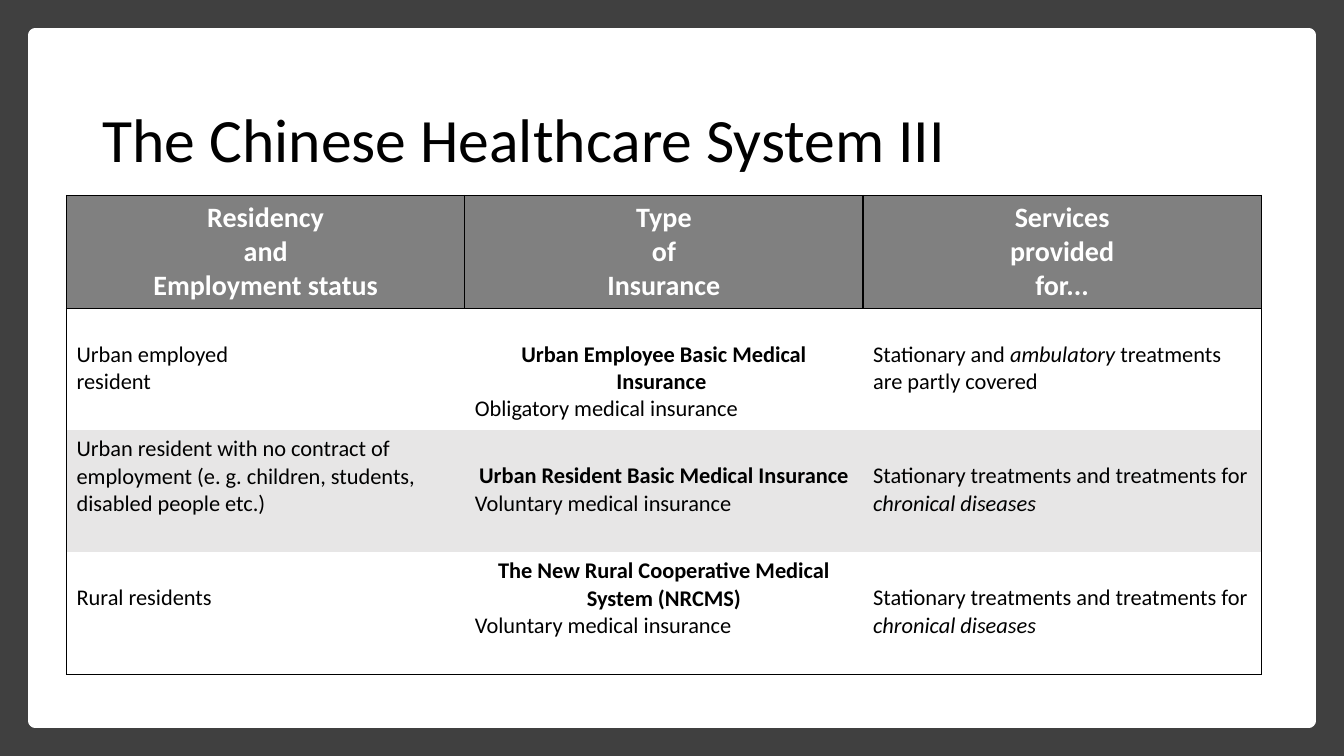
from dataclasses import dataclass
from lxml import etree
from pptx import Presentation
from pptx.dml.color import RGBColor
from pptx.enum import shapes, text
from pptx.oxml import ns
from pptx.util import Inches, Pt

TITLE = "The Chinese Healthcare System III"
HEADERS = [
    ["Residency", "and", "Employment status"],
    ["Type", "of", "Insurance"],
    ["Services", "provided", "for..."],
]
CHRONICAL = [["Stationary treatments and treatments for ", "chronical diseases"]]
# BODY_CELL = (lines of lead, bold heading, plain paragraphs of alternating upright and italic spans)
BODY = [
    [
        (1, "", [["Urban employed"], ["resident"]]),
        (1, "Urban Employee Basic Medical Insurance ", [["Obligatory medical insurance"]]),
        (1, "", [["Stationary and ", "ambulatory", " treatments are partly covered"]]),
    ],
    [
        (0, "", [["Urban resident with no contract of employment "
                  "(e. g. children, students, disabled people etc.)"]]),
        (1, "Urban Resident Basic Medical Insurance", [["Voluntary medical insurance"]]),
        (1, "", CHRONICAL),
    ],
    [
        (1, "", [["Rural residents"]]),
        (0, "The New Rural Cooperative Medical System (NRCMS)", [["Voluntary medical insurance"]]),
        (1, "", CHRONICAL),
    ],
]


@dataclass(frozen=True)
class Theme:
    font: str = "Calibri"
    frame: str = "404040"
    paper: str = "FFFFFF"
    ink: str = "000000"
    header: str = "808080"
    band: str = "E7E6E6"
    title_size: int = 44
    header_size: int = 20
    body_size: int = 16


THEME = Theme()
WIDTH, HEIGHT, FRAME = 13.33, 7.5, 0.35
TABLE_LEFT, TABLE_TOP, COLUMN = 0.66, 1.94, 3.95
HEADER_HEIGHT, ROW_HEIGHT = 1.12, 1.21
CELL_MARGIN, LEAD = 0.05, 0.27


def add_panel(page, inset, color):
    panel = page.shapes.add_shape(
        shapes.MSO_SHAPE.RECTANGLE, Inches(inset), Inches(inset),
        Inches(WIDTH - 2 * inset), Inches(HEIGHT - 2 * inset))
    panel.shadow.inherit = False
    panel.fill.solid()
    panel.fill.fore_color.rgb = RGBColor.from_string(color)
    panel.line.fill.background()
    return panel


def style(para, size, color, bold=False, centred=False):
    para.font.name = THEME.font
    para.font.size = Pt(size)
    para.font.bold = bold
    para.font.color.rgb = RGBColor.from_string(color)
    para.alignment = text.PP_ALIGN.CENTER if centred else text.PP_ALIGN.LEFT


def add_title(page):
    box = page.shapes.add_textbox(Inches(0.92), Inches(0.69), Inches(11.5), Inches(1.45))
    frame = box.text_frame
    frame.word_wrap = True
    frame.vertical_anchor = text.MSO_ANCHOR.MIDDLE
    para = frame.paragraphs[0]
    para.text = TITLE
    para.line_spacing = 0.9
    style(para, THEME.title_size, THEME.ink)


def paint_cell(cell, fill, edges):
    properties = cell._tc.get_or_add_tcPr()
    for side in "LRTB":
        line = etree.SubElement(properties, ns.qn(f"a:ln{side}"), w=str(Pt(1)))
        if side in edges:
            solid = etree.SubElement(line, ns.qn("a:solidFill"))
            etree.SubElement(solid, ns.qn("a:srgbClr"), val=THEME.ink)
        else:
            etree.SubElement(line, ns.qn("a:noFill"))
    cell.fill.solid()
    cell.fill.fore_color.rgb = RGBColor.from_string(fill)


def next_paragraph(frame, index):
    return frame.add_paragraph() if index else frame.paragraphs[0]


def fill_header(cell, lines):
    for index, line in enumerate(lines):
        para = next_paragraph(cell.text_frame, index)
        para.text = line
        style(para, THEME.header_size, THEME.paper, bold=True, centred=True)


def fill_body(cell, lead, heading, plain):
    cell.margin_top = Inches(CELL_MARGIN + lead * LEAD)
    paragraphs = ([[heading]] if heading else []) + plain
    for index, spans in enumerate(paragraphs):
        para = next_paragraph(cell.text_frame, index)
        is_heading = bool(heading) and index == 0
        style(para, THEME.body_size, THEME.ink, bold=is_heading, centred=is_heading)
        for position, words in enumerate(spans):
            span = para.add_run()
            span.text = words
            if position % 2:
                span.font.italic = True


def add_insurance_table(page):
    rows, columns = len(BODY) + 1, len(HEADERS)
    table = page.shapes.add_table(
        rows, columns, Inches(TABLE_LEFT), Inches(TABLE_TOP), Inches(COLUMN * columns),
        Inches(HEADER_HEIGHT + ROW_HEIGHT * len(BODY))).table
    table.horz_banding = False
    for column in table.columns:
        column.width = Inches(COLUMN)
    for index, row in enumerate(table.rows):
        row.height = Inches(ROW_HEIGHT if index else HEADER_HEIGHT)

    for column, lines in enumerate(HEADERS):
        cell = table.cell(0, column)
        fill_header(cell, lines)
        paint_cell(cell, THEME.header, "LRTB")

    for row, contents in enumerate(BODY, start=1):
        for column, content in enumerate(contents):
            cell = table.cell(row, column)
            fill_body(cell, *content)
            edges = "".join(side for side, outer in (
                ("L", column == 0), ("R", column == columns - 1),
                ("T", row == 1), ("B", row == rows - 1)) if outer)
            paint_cell(cell, THEME.paper if row % 2 else THEME.band, edges)


def main():
    deck = Presentation()
    deck.slide_width, deck.slide_height = Inches(WIDTH), Inches(HEIGHT)
    page = deck.slides.add_slide(deck.slide_layouts[6])
    add_panel(page, 0, THEME.frame)
    sheet = add_panel(page, FRAME, THEME.paper)
    sheet.line.color.rgb = RGBColor.from_string(THEME.paper)
    sheet.line.width = Pt(10)
    add_title(page)
    add_insurance_table(page)
    deck.save("out.pptx")


if __name__ == "__main__":
    main()
